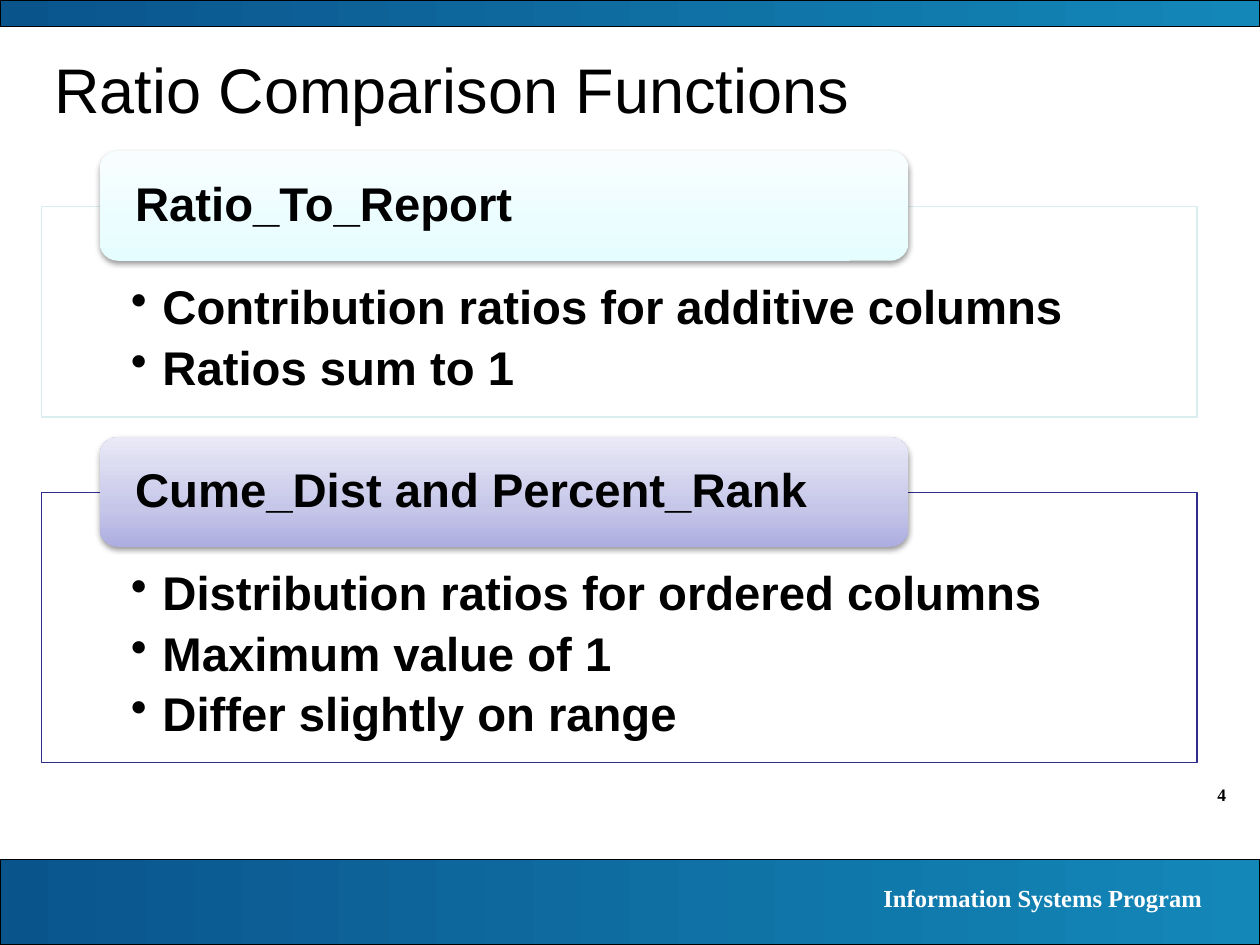
from pptx import Presentation
from pptx.dml.color import RGBColor
from pptx.enum.shapes import MSO_SHAPE
from pptx.enum.text import MSO_ANCHOR, PP_ALIGN
from pptx.oxml import parse_xml
from pptx.oxml.ns import nsdecls, qn
from pptx.util import Inches, Pt

WIDTH, HEIGHT = 10, 7.5
MARGIN, CONTENT_WIDTH = 0.33, 9.17
LABEL_HEIGHT, LABEL_RISE = 0.87, 0.44
SECTIONS = [
    (1.64, 1.67, "DAEDEF", ["E6FDFF", "ECFDFF", "F8FEFF"], "Ratio_To_Report",
     ["Contribution ratios for additive columns", "Ratios sum to 1"]),
    (3.91, 2.14, "2D2D8A", ["ADADE1", "C6C6E9", "E9E9F7"], "Cume_Dist and Percent_Rank",
     ["Distribution ratios for ordered columns", "Maximum value of 1",
      "Differ slightly on range"]),
]


def color(value):
    return RGBColor.from_string(value)


def set_font(para, name, size, value="000000", bold=True):
    for span in para.runs:
        span.font.name, span.font.size, span.font.bold = name, Pt(size), bold
        span.font.color.rgb = color(value)


def set_insets(frame, left, top, right, bottom):
    frame.margin_left, frame.margin_top = Inches(left), Inches(top)
    frame.margin_right, frame.margin_bottom = Inches(right), Inches(bottom)


def add_box(page, kind, left, top, width, height, line=None):
    box = page.shapes.add_shape(kind, Inches(left), Inches(top), Inches(width), Inches(height))
    box.shadow.inherit = False
    if line:
        box.line.color.rgb = color(line)
        box.line.width = Pt(0.75)
    else:
        box.line.fill.background()
    return box


def fill_gradient(box, stops, angle):
    """Fill with (percent, colour) stops; the angle runs counter-clockwise."""
    box.fill.gradient()
    box.fill.gradient_angle = angle
    stop_list = box.fill._xPr.find(qn("a:gradFill")).find(qn("a:gsLst"))
    for old_stop in list(stop_list):
        stop_list.remove(old_stop)
    for percent, value in stops:
        stop_list.append(parse_xml(
            f'<a:gs {nsdecls("a")} pos="{percent * 1000}"><a:srgbClr val="{value}"/></a:gs>'))


def add_drop_shadow(box):
    box._element.spPr.find(qn("a:effectLst")).append(parse_xml(
        f'<a:outerShdw {nsdecls("a")} blurRad="{Pt(3.1)}" dist="{Pt(1.6)}" dir="5400000" '
        'rotWithShape="0"><a:srgbClr val="000000"><a:alpha val="38000"/></a:srgbClr>'
        '</a:outerShdw>'))


def add_band(page, top, height):
    band = add_box(page, MSO_SHAPE.RECTANGLE, 0, top, WIDTH, height, "000000")
    fill_gradient(band, [(0, "0A548C"), (100, "1387B8")], 0)


def add_right_text(page, text, left, top, width, height, size, value):
    box = page.shapes.add_textbox(Inches(left), Inches(top), Inches(width), Inches(height))
    box.text_frame.word_wrap = True
    para = box.text_frame.paragraphs[0]
    para.text, para.alignment = text, PP_ALIGN.RIGHT
    set_font(para, "Times New Roman", size, value)


def add_title(page, text):
    title = page.shapes.title
    title.left, title.top = Inches(MARGIN), Inches(MARGIN)
    title.width, title.height = Inches(CONTENT_WIDTH), Inches(0.75)
    frame = title.text_frame
    frame.text, frame.vertical_anchor = text, MSO_ANCHOR.MIDDLE
    frame.paragraphs[0].alignment = PP_ALIGN.LEFT
    set_font(frame.paragraphs[0], "Arial", 36, bold=False)


def add_panel(page, top, height, line, bullets):
    panel = add_box(page, MSO_SHAPE.RECTANGLE, MARGIN, top, CONTENT_WIDTH, height, line)
    panel.fill.solid()
    panel.fill.fore_color.rgb = color("FFFFFF")
    panel.fill._xPr.find(qn("a:solidFill"))[0].append(
        parse_xml(f'<a:alpha {nsdecls("a")} val="90000"/>'))
    frame = panel.text_frame
    set_insets(frame, 0.71, 0.61, 0.71, 0.21)
    frame.vertical_anchor = MSO_ANCHOR.TOP
    frame.text = "\n".join(bullets)
    for para in frame.paragraphs:
        properties = para._p.get_or_add_pPr()
        properties.set("marL", str(Inches(0.25)))
        properties.set("indent", str(-Inches(0.25)))
        properties.append(parse_xml(f'<a:buChar {nsdecls("a")} char="•"/>'))
        para.level, para.alignment = 1, PP_ALIGN.LEFT
        para.line_spacing, para.space_after = 0.9, Pt(5.5)
        set_font(para, "Arial", 27)


def add_label(page, top, shades, text):
    label = add_box(page, MSO_SHAPE.ROUNDED_RECTANGLE, 0.79, top, 6.42, LABEL_HEIGHT)
    fill_gradient(label, zip((0, 35, 100), shades), 90)
    add_drop_shadow(label)
    frame = label.text_frame
    set_insets(frame, 0.24, 0, 0.24, 0)
    frame.text, frame.vertical_anchor = text, MSO_ANCHOR.MIDDLE
    para = frame.paragraphs[0]
    para.alignment, para.line_spacing = PP_ALIGN.LEFT, 0.9
    set_font(para, "Arial", 27)


def main():
    deck = Presentation()
    deck.slide_width, deck.slide_height = Inches(WIDTH), Inches(HEIGHT)
    page = deck.slides.add_slide(deck.slide_layouts[5])
    add_right_text(page, "4", 9, 6.17, 0.83, 0.27, 10, "000000")
    add_band(page, 6.82, 0.68)
    add_band(page, 0, 0.21)
    add_right_text(page, "Information Systems Program", 5.55, 6.96, 4.09, 0.34, 14, "FFFFFF")
    add_title(page, "Ratio Comparison Functions")
    for top, height, line, shades, heading, bullets in SECTIONS:
        add_panel(page, top, height, line, bullets)
        add_label(page, top - LABEL_RISE, shades, heading)
    deck.save("out.pptx")


if __name__ == "__main__":
    main()
